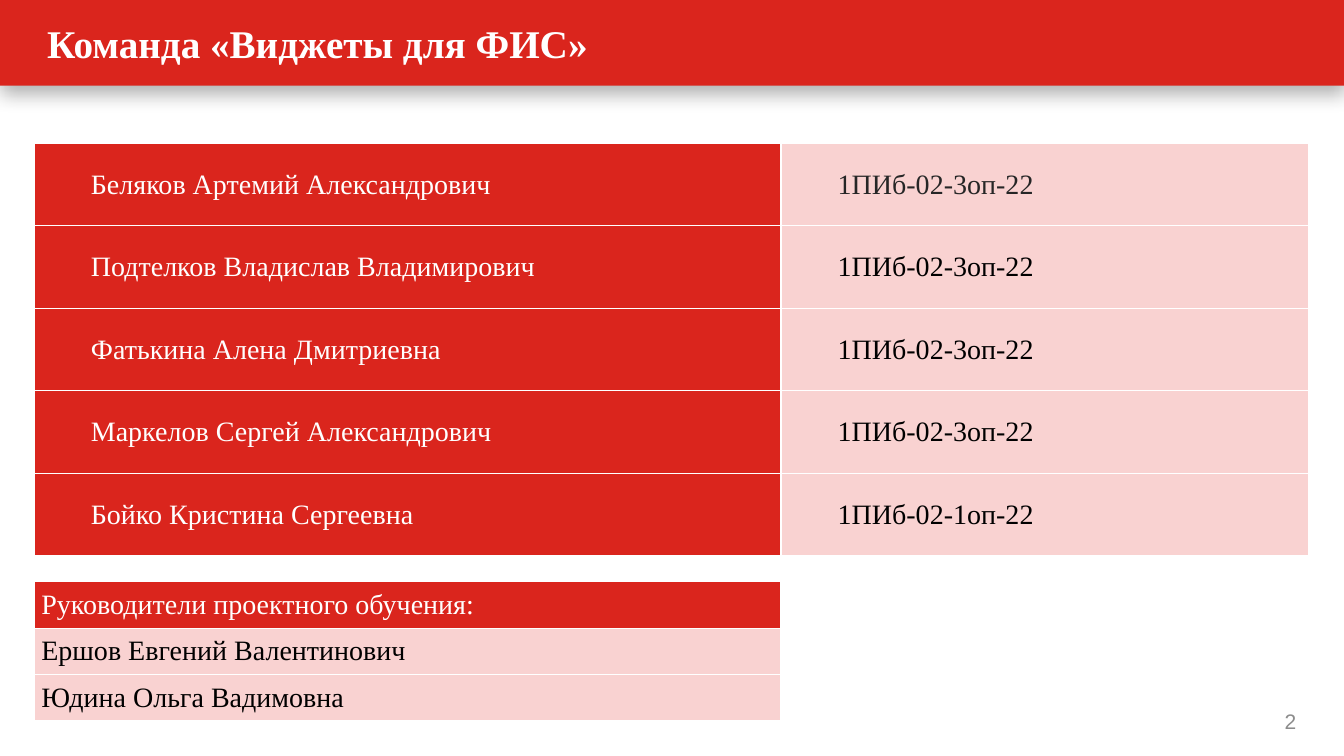
"""Build the slide that lists a project team and its supervisors."""
import pptx
import pptx.dml.color
import pptx.enum.shapes
import pptx.enum.text
import pptx.oxml
import pptx.oxml.ns
import pptx.util

Cm = pptx.util.Cm
Pt = pptx.util.Pt
RED, PINK, WHITE, BLACK = "DA251D", "F9D2D1", "FFFFFF", "000000"
TITLE = "Команда «Виджеты для ФИС»"
TEAM = [
    ("Беляков Артемий Александрович", "1ПИб-02-3оп-22"),
    ("Подтелков Владислав Владимирович", "1ПИб-02-3оп-22"),
    ("Фатькина Алена Дмитриевна", "1ПИб-02-3оп-22"),
    ("Маркелов Сергей Александрович", "1ПИб-02-3оп-22"),
    ("Бойко Кристина Сергеевна", "1ПИб-02-1оп-22"),
]
LEADS = ["Руководители проектного обучения:", "Ершов Евгений Валентинович", "Юдина Ольга Вадимовна"]
WIDE, HIGH, BAR = 33.87, 19.05, 2.16
LEFT, NAME, GROUP = 0.86, 18.82, 13.31
NS = pptx.oxml.ns.nsdecls("a")


def tint(part, color):
    if hasattr(part, "solid"):
        part.solid()
        part = part.fore_color
    part.rgb = pptx.dml.color.RGBColor.from_string(color)


def write(frame, text, size=20, font="Times New Roman", color=BLACK, bold=False, align="LEFT", indent=0):
    para = frame.paragraphs[0]
    para.alignment = getattr(pptx.enum.text.PP_ALIGN, align)
    if indent:
        props = para._p.get_or_add_pPr()
        props.set("marL", "0")
        props.set("indent", str(Cm(indent)))
    run = para.add_run()
    run.text = text
    run.font.size = Pt(size)
    run.font.name = font
    run.font.bold = bold
    tint(run.font.color, color)


def label(slide, text, left, top, width, height, **style):
    frame = slide.shapes.add_textbox(Cm(left), Cm(top), Cm(width), Cm(height)).text_frame
    frame.word_wrap = True
    frame.vertical_anchor = pptx.enum.text.MSO_ANCHOR.MIDDLE
    frame.margin_left = frame.margin_right = Cm(0.33)
    frame.margin_top = frame.margin_bottom = Cm(0.16)
    write(frame, text, **style)


def paint(cell, text, fill, color, indent):
    props = cell._tc.get_or_add_tcPr()
    for side in "LRTB":
        props.append(pptx.oxml.parse_xml(
            f'<a:ln{side} {NS} w="{Pt(1)}"><a:solidFill><a:srgbClr val="{WHITE}"/>'
            f"</a:solidFill></a:ln{side}>"))
    tint(cell.fill, fill)
    cell.vertical_anchor = pptx.enum.text.MSO_ANCHOR.MIDDLE
    cell.margin_left = cell.margin_right = Cm(0.18)
    cell.margin_top = cell.margin_bottom = 0
    write(cell.text_frame, text, color=color, indent=indent)


def grid(slide, rows, top, widths, step, indent=0):
    table = slide.shapes.add_table(
        len(rows), len(widths), Cm(LEFT), Cm(top), Cm(sum(widths)), Cm(step * len(rows))).table
    table.first_row = table.horz_banding = False
    for col, width in zip(table.columns, widths):
        col.width = Cm(width)
    for r, row in enumerate(rows):
        table.rows[r].height = Cm(step)
        for c, item in enumerate(row):
            paint(table.cell(r, c), *item, indent)


def banner(slide):
    kind = pptx.enum.shapes.MSO_SHAPE.RECTANGLE
    bar = slide.shapes.add_shape(kind, 0, 0, Cm(WIDE), Cm(BAR))
    tint(bar.fill, RED)
    bar.line.fill.background()
    bar.shadow.inherit = False
    glow = bar._element.spPr.find(pptx.oxml.ns.qn("a:effectLst"))
    glow.append(pptx.oxml.parse_xml(
        f'<a:outerShdw {NS} blurRad="{Pt(14)}" dist="{Pt(5)}" dir="5400000" algn="t" rotWithShape="0">'
        f'<a:srgbClr val="{BLACK}"><a:alpha val="31000"/></a:srgbClr></a:outerShdw>'))


def main():
    deck = pptx.Presentation()
    deck.slide_width, deck.slide_height = Cm(WIDE), Cm(HIGH)
    slide = deck.slides.add_slide(deck.slide_layouts[6])
    banner(slide)
    label(slide, "2", 30.89, 17.65, 2.11, 1.02, size=15, font="Arial", color="8C8C8C", align="RIGHT")
    label(slide, TITLE, LEFT, 0, 30.89, BAR, size=28, color=WHITE, bold=True)
    team = [((name, RED, WHITE), (group, PINK, BLACK if i else "262626"))
            for i, (name, group) in enumerate(TEAM)]
    leads = [((text, PINK, BLACK) if i else (text, RED, WHITE),) for i, text in enumerate(LEADS)]
    grid(slide, team, 3.61, [NAME, GROUP], 2.08, indent=1.25)
    grid(slide, leads, 14.66, [NAME], 1.17)
    deck.save("out.pptx")


if __name__ == "__main__":
    main()
